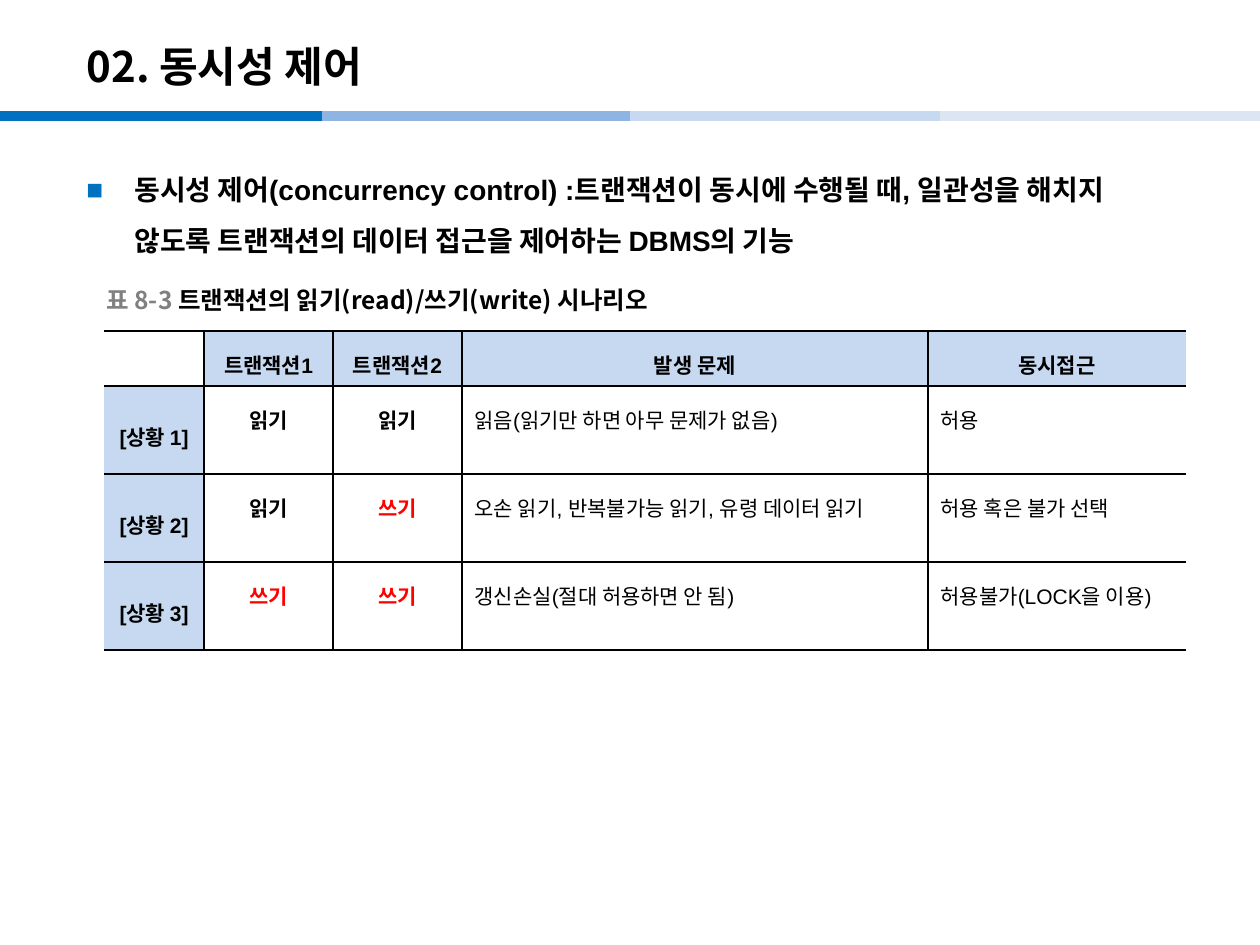
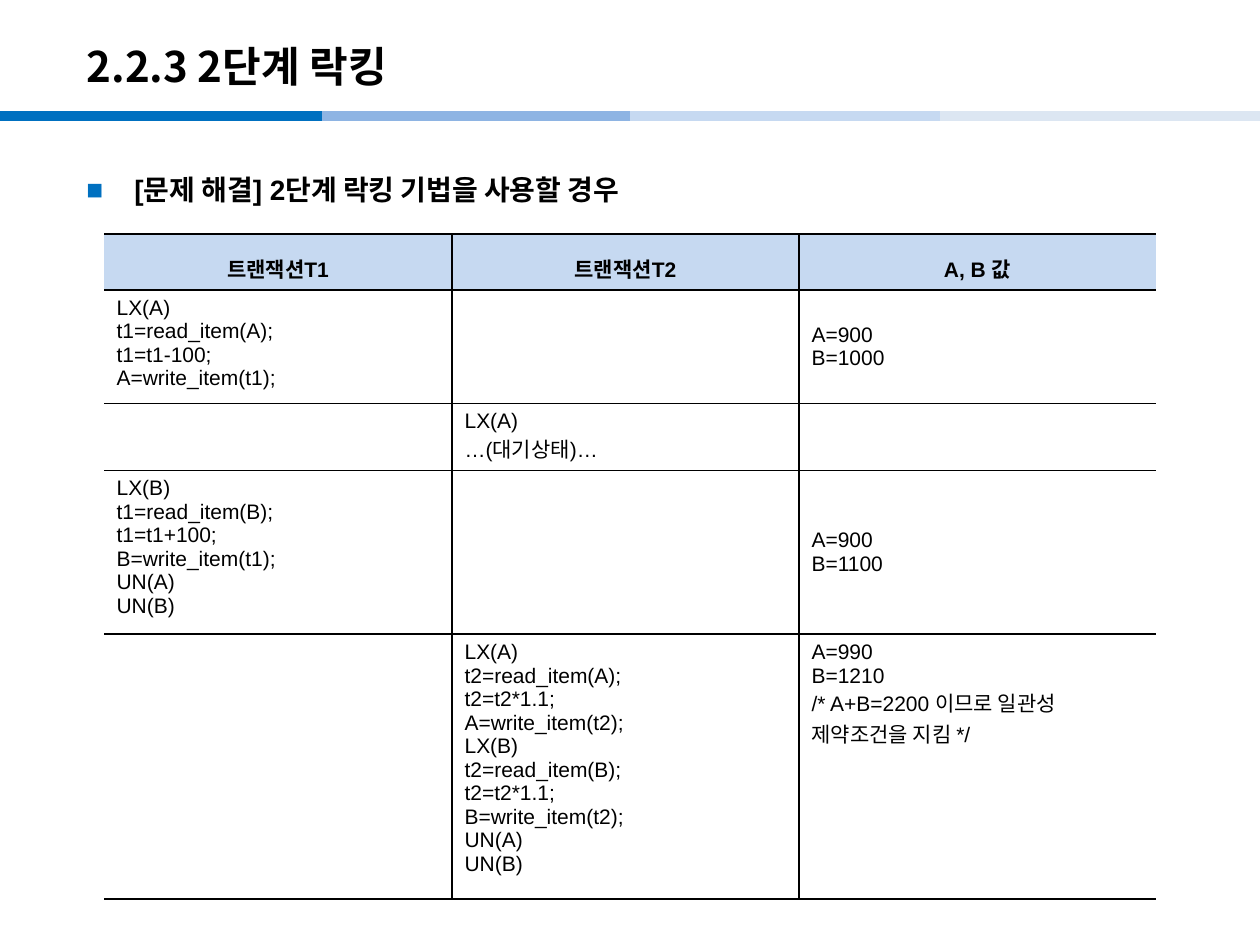
"""Builds two lecture slides on concurrency control and two-phase locking."""
from lxml import etree
from pptx import Presentation
from pptx import util as u
from pptx.dml.color import RGBColor
from pptx.enum import shapes, text
from pptx.oxml.ns import qn

COLORS = {"ink": "000000", "accent": "0070C0", "header": "C6D9F1",
          "paper": "FFFFFF", "alert": "FF0000", "muted": "808080"}
BANDS = [(0, 322, "0070C0"), (322, 645, "8EB4E3"),
         (630, 953, "C6D9F1"), (940, 1260, "DCE6F2")]
BODY_FONT, KOREAN_FONT = "Arial", "Noto Sans CJK KR"
TITLE_ONLY = 5


def px(n):
    return u.Emu(round(n * 914400 / 126))


def sub(parent, tag, **attributes):
    return etree.SubElement(parent, qn(tag), attributes)


class Deck:
    def __init__(self):
        self.prs = Presentation()
        self.prs.slide_width, self.prs.slide_height = px(1260), px(945)
        self.slide = None

    def start(self, title):
        self.slide = self.prs.slides.add_slide(self.prs.slide_layouts[TITLE_ONLY])
        for start, end, color in BANDS:
            self.band(start, end, color)
        heading = self.slide.shapes.title
        heading.left, heading.top, heading.width, heading.height = map(px, (74, 28, 1042, 76))
        frame = heading.text_frame
        frame.auto_size = text.MSO_AUTO_SIZE.NONE
        frame.vertical_anchor = text.MSO_ANCHOR.MIDDLE
        frame.paragraphs[0].alignment = text.PP_ALIGN.LEFT
        self.run(frame.paragraphs[0], title, 24, font=KOREAN_FONT)

    def band(self, start, end, color):
        line = self.slide.shapes.add_connector(
            shapes.MSO_CONNECTOR.STRAIGHT, px(start), px(116), px(end), px(116))
        line.line.color.rgb = RGBColor.from_string(color)
        line.line.width = u.Pt(6)
        sub(line._element.spPr, "a:effectLst")

    def run(self, paragraph, words, size, color="ink", bold=True, font=BODY_FONT):
        run = paragraph.add_run()
        run.text = words
        run.font.size, run.font.bold = u.Pt(size), bold
        run.font.color.rgb = RGBColor.from_string(COLORS[color])
        run.font.name = font
        sub(run._r.get_or_add_rPr(), "a:ea", typeface=KOREAN_FONT)

    def box(self, left, top, width, height):
        frame = self.slide.shapes.add_textbox(*map(px, (left, top, width, height))).text_frame
        frame.word_wrap = True
        return frame

    def bullet(self, words):
        paragraph = self.box(74, 150, 1111, 753).paragraphs[0]
        paragraph.line_spacing = 1.5
        props = paragraph._p.get_or_add_pPr()
        props.set("marL", str(px(48)))
        props.set("indent", str(px(-48)))
        sub(sub(props, "a:buClr"), "a:srgbClr", val=COLORS["accent"])
        sub(props, "a:buFont", typeface=BODY_FONT)
        sub(props, "a:buChar", char="■")
        self.run(paragraph, words, 16)

    def caption(self, number, words):
        frame = self.box(94, 280, 640, 39)
        frame.vertical_anchor = text.MSO_ANCHOR.MIDDLE
        self.run(frame.paragraphs[0], number, 14, "muted", font=KOREAN_FONT)
        self.run(frame.paragraphs[0], words, 14, font=KOREAN_FONT)

    def table(self, top, widths, heights, rows, label_columns=0, centered_columns=0,
              spacing=None, middle_cells=()):
        grid = self.slide.shapes.add_table(
            len(rows), len(widths), px(104), px(top), px(sum(widths)), px(sum(heights))).table
        grid.first_row = grid.horz_banding = False
        for column, width in zip(grid.columns, widths):
            column.width = px(width)
        for r, (height, values) in enumerate(zip(heights, rows)):
            grid.rows[r].height = px(height)
            for c, words in enumerate(values):
                label = r == 0 or c < label_columns
                centered = r == 0 or c < centered_columns
                cell = grid.cell(r, c)
                if label or (r, c) in middle_cells:
                    cell.vertical_anchor = text.MSO_ANCHOR.MIDDLE
                self.cell_text(cell, words, centered, 1.4 if r == 0 else spacing)
                cell.fill.solid()
                shade = "header" if label and words else "paper"
                cell.fill.fore_color.rgb = RGBColor.from_string(COLORS[shade])
                self.borders(cell, c > 0, c < len(widths) - 1)

    def cell_text(self, cell, words, centered, spacing):
        for i, line in enumerate(words.split("\n") if words else []):
            frame = cell.text_frame
            paragraph = frame.add_paragraph() if i else frame.paragraphs[0]
            if centered:
                paragraph.alignment = text.PP_ALIGN.CENTER
            if spacing:
                paragraph.line_spacing = spacing
            self.run(paragraph, line, 12, "alert" if line == "쓰기" else "ink", centered)

    def borders(self, cell, left, right):
        props = cell._tc.get_or_add_tcPr()
        sides = [("a:lnL", left), ("a:lnR", right), ("a:lnT", True), ("a:lnB", True)]
        for i, (tag, drawn) in enumerate(sides):
            edge = sub(props, tag, w=str(u.Pt(1)))
            if drawn:
                sub(sub(edge, "a:solidFill"), "a:srgbClr", val=COLORS["ink"])
            else:
                sub(edge, "a:noFill")
            props.insert(i, edge)


def main():
    deck = Deck()

    deck.start("02. 동시성 제어")
    deck.bullet("동시성 제어(concurrency control) :트랜잭션이 동시에 수행될 때, 일관성을 해치지 "
                "않도록 트랜잭션의 데이터 접근을 제어하는 DBMS의 기능")
    scenarios = [
        ["", "트랜잭션1", "트랜잭션2", "발생 문제", "동시접근"],
        ["[상황 1]", "읽기", "읽기", "읽음(읽기만 하면 아무 문제가 없음)", "허용"],
        ["[상황 2]", "읽기", "쓰기", "오손 읽기, 반복불가능 읽기, 유령 데이터 읽기", "허용 혹은 불가 선택"],
        ["[상황 3]", "쓰기", "쓰기", "갱신손실(절대 허용하면 안 됨)", "허용불가(LOCK을 이용)"],
    ]
    deck.table(331, [100, 129, 129, 466, 258], [55, 88, 88, 88], scenarios,
               label_columns=1, centered_columns=3, spacing=1.4)
    deck.caption("표 8-3 ", "트랜잭션의 읽기(read)/쓰기(write) 시나리오")

    deck.start("2.2.3 2단계 락킹")
    deck.bullet("[문제 해결] 2단계 락킹 기법을 사용할 경우")
    locking_steps = [
        ["트랜잭션T1", "트랜잭션T2", "A, B 값"],
        ["LX(A)\nt1=read_item(A);\nt1=t1-100;\nA=write_item(t1);", "", "A=900\nB=1000"],
        ["", "LX(A)\n…(대기상태)…", ""],
        ["LX(B)\nt1=read_item(B);\nt1=t1+100;\nB=write_item(t1);\nUN(A)\nUN(B)", "",
         "A=900\nB=1100"],
        ["", "LX(A)\nt2=read_item(A);\nt2=t2*1.1;\nA=write_item(t2);\n"
             "LX(B)\nt2=read_item(B);\nt2=t2*1.1;\nB=write_item(t2);\nUN(A)\nUN(B)",
         "A=990\nB=1210\n/* A+B=2200 이므로 일관성 제약조건을 지킴 */"],
    ]
    deck.table(234, [348, 347, 357], [56, 106, 67, 154, 248], locking_steps,
               middle_cells={(1, 2), (3, 2)})

    deck.prs.save("out.pptx")


if __name__ == "__main__":
    main()
